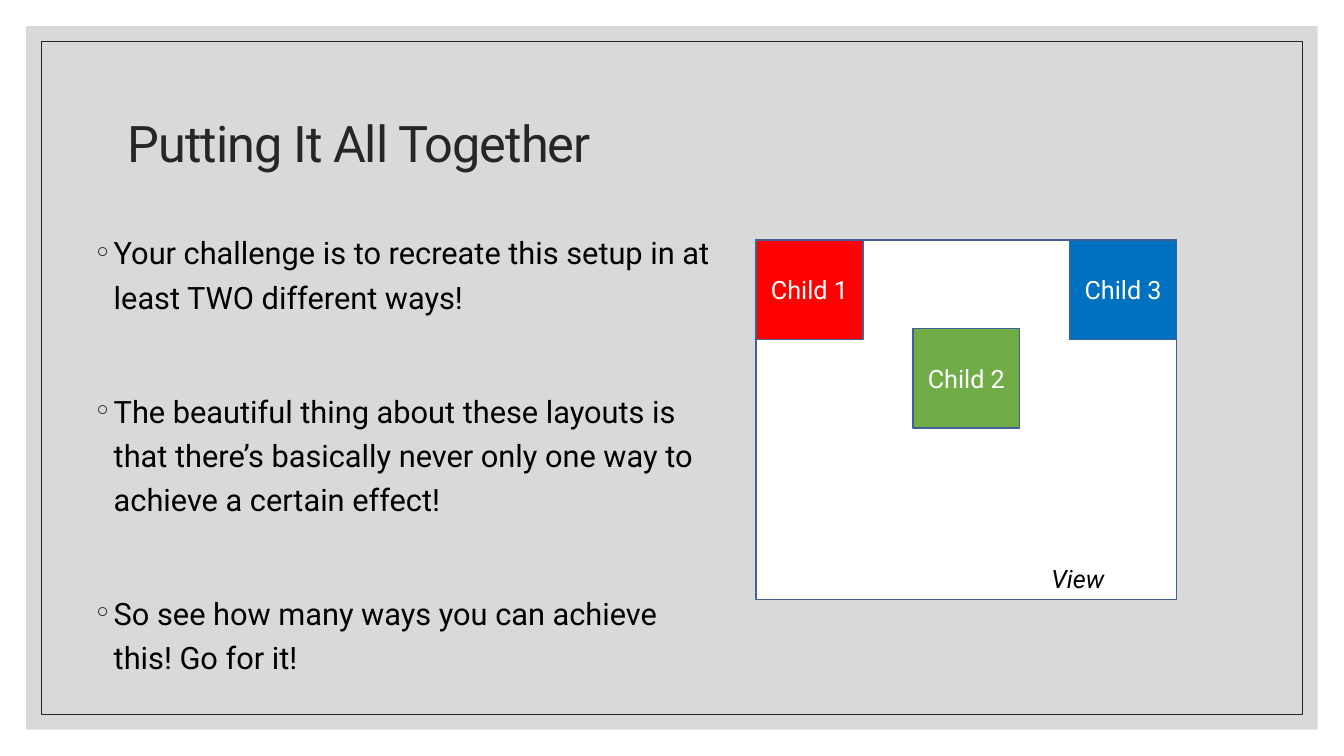
from dataclasses import dataclass

from lxml import etree
from pptx import Presentation
from pptx import util as u
from pptx.dml.color import RGBColor
from pptx.enum import shapes, text
from pptx.oxml import ns

# Content
TITLE = "Putting It All Together"
BULLETS = [
    "Your challenge is to recreate this setup in at least TWO different ways!",
    "The beautiful thing about these layouts is that there’s basically never "
    "only one way to achieve a certain effect!",
    "So see how many ways you can achieve this! Go for it!",
]
# Label, fill, share of the free width and height of the view
CHILDREN = [
    ("Child 1", "FF0000", 0, 0),
    ("Child 2", "70AD47", 0.5, 0.34),
    ("Child 3", "0070C0", 1, 0),
]
VIEW_LABEL = "View"


@dataclass(frozen=True)
class Theme:
    font: str = "Roboto"
    panel: str = "D9D9D9"
    dark: str = "262626"
    black: str = "000000"
    white: str = "FFFFFF"
    outline: str = "436096"
    title_size: int = 36
    body_size: int = 22
    label_size: int = 18


THEME = Theme()
SLIDE_W, SLIDE_H = 13.33, 7.5
PANEL_MARGIN, FRAME_MARGIN = 0.26, 0.41
VIEW = (7.5, 2.38, 4.17, 3.57)
CHILD_W, CHILD_H = 1.06, 0.99
BULLET_INDENT = 0.2
BULLET_GAP = 49.7

prs = Presentation()
prs.slide_width, prs.slide_height = u.Inches(SLIDE_W), u.Inches(SLIDE_H)
s = prs.slides.add_slide(prs.slide_layouts[6])


def inches(box):
    return [u.Inches(v) for v in box]


def inset(margin):
    return margin, margin, SLIDE_W - 2 * margin, SLIDE_H - 2 * margin


def style(p, size, color):
    for r in p.runs:
        r.font.name = THEME.font
        r.font.size = u.Pt(size)
        r.font.color.rgb = RGBColor.from_string(color)


def add_rect(box, fill=None, line=None, width=1):
    sp = s.shapes.add_shape(shapes.MSO_SHAPE.RECTANGLE, *inches(box))
    sp.shadow.inherit = False
    if fill:
        sp.fill.solid()
        sp.fill.fore_color.rgb = RGBColor.from_string(fill)
    else:
        sp.fill.background()
    if line:
        sp.line.color.rgb = RGBColor.from_string(line)
        sp.line.width = u.Pt(width)
    else:
        sp.line.fill.background()
    return sp


def add_text(box, content, size, color, wrap=True):
    tf = s.shapes.add_textbox(*inches(box)).text_frame
    tf.word_wrap = wrap
    tf.text = content
    for p in tf.paragraphs:
        style(p, size, color)
    return tf


def add_bullet(p):
    pPr = p._p.get_or_add_pPr()
    pPr.set("marL", str(u.Inches(BULLET_INDENT)))
    pPr.set("indent", str(-u.Inches(BULLET_INDENT)))
    color = etree.SubElement(pPr, ns.qn("a:buClr"))
    etree.SubElement(color, ns.qn("a:srgbClr"), val=THEME.dark)
    etree.SubElement(pPr, ns.qn("a:buFont"), typeface=THEME.font)
    etree.SubElement(pPr, ns.qn("a:buChar"), char="◦")


# Background panel and frame
add_rect(inset(PANEL_MARGIN), fill=THEME.panel)
add_rect(inset(FRAME_MARGIN), line=THEME.dark, width=0.5)

# Title
tf = add_text((1.17, 0.7, 11, 1.5), TITLE, THEME.title_size, THEME.dark)
tf.vertical_anchor = text.MSO_ANCHOR.MIDDLE
p = tf.paragraphs[0]
p.line_spacing = 0.9
p.runs[0].font._element.set("spc", "-70")

# Bullets
tf = add_text((0.83, 2.2, 6.4, 4.94), "\n".join(BULLETS),
              THEME.body_size, THEME.black)
for i, p in enumerate(tf.paragraphs):
    add_bullet(p)
    p.line_spacing = 1.2
    if i:
        p.space_before = u.Pt(BULLET_GAP)

# View with its children
left, top, width, height = VIEW
add_rect(VIEW, THEME.white, THEME.outline)
for label, fill, across, down in CHILDREN:
    x = left + across * (width - CHILD_W)
    y = top + down * (height - CHILD_H)
    sp = add_rect((x, y, CHILD_W, CHILD_H), fill, THEME.outline)
    tf = sp.text_frame
    tf.text = label
    tf.vertical_anchor = text.MSO_ANCHOR.MIDDLE
    p = tf.paragraphs[0]
    p.alignment = text.PP_ALIGN.CENTER
    style(p, THEME.label_size, THEME.white)

tf = add_text((10.33, 5.54, 0.77, 0.4), VIEW_LABEL,
              THEME.label_size, THEME.black, wrap=False)
tf.paragraphs[0].runs[0].font.italic = True

prs.save("out.pptx")
